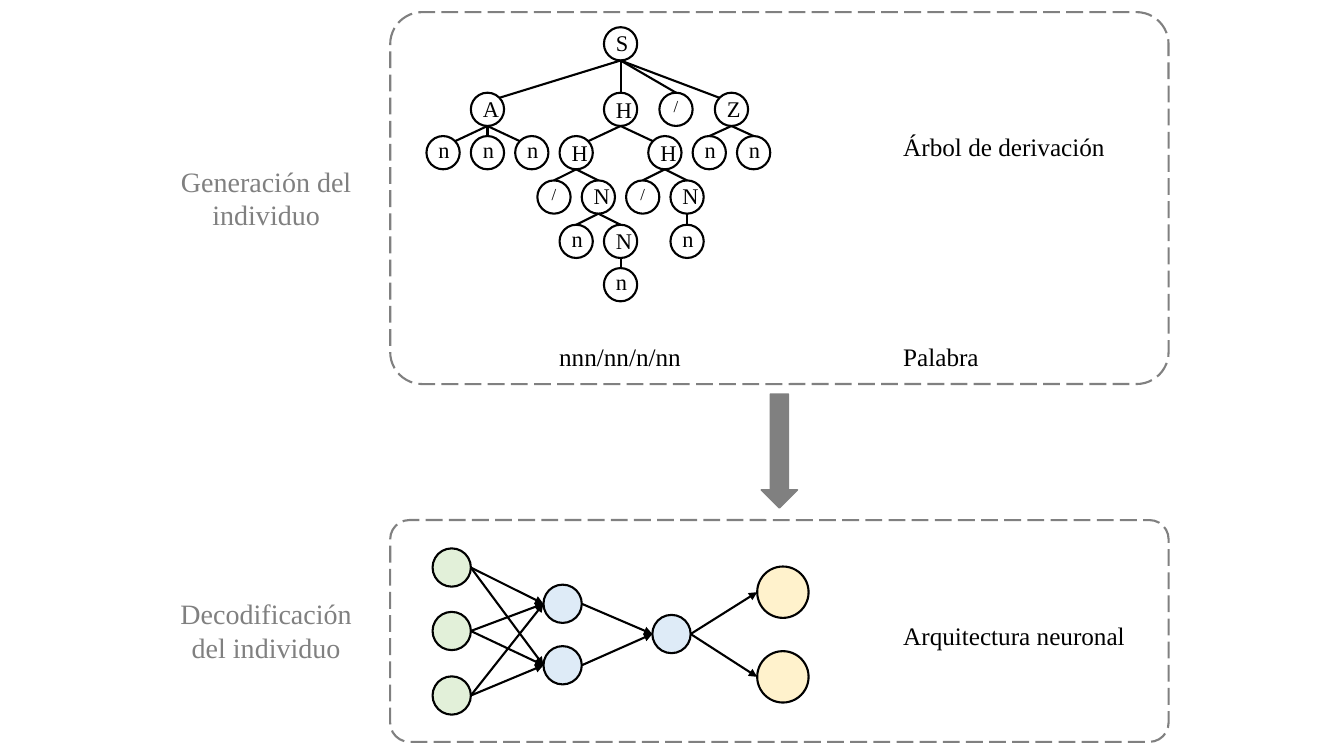
from dataclasses import dataclass
from itertools import pairwise, product

from lxml.etree import SubElement
from pptx import Presentation
from pptx.dml.color import RGBColor
from pptx.enum.dml import MSO_LINE_DASH_STYLE as Dash
from pptx.enum.shapes import MSO_CONNECTOR, MSO_SHAPE as Shape
from pptx.enum.text import MSO_AUTO_SIZE, PP_ALIGN as Align
from pptx.oxml.ns import qn
from pptx.util import Emu, Pt

PX = 9144  # EMU in one px, 100 px to the inch
FONT = "Times New Roman"
BLACK, GRAY, WHITE = "000000", "808080", "FFFFFF"
GREEN, BLUE, YELLOW = "E2F0D9", "DEEBF7", "FFF2CC"

NODE = 33
FIRST_COL, COL_STEP = 423, 22
ROW_TOPS = (27, 92, 135, 179, 223, 266)
LABEL_RISE = {"n": 5, "/": 2, "H": 2}


@dataclass(frozen=True)
class Node:
    symbol: str
    col: float
    children: tuple["Node", ...] = ()


@dataclass(frozen=True)
class Layer:
    left: int
    tops: tuple[int, ...]
    size: int
    fill: str


@dataclass(frozen=True)
class Panel:
    top: int
    height: int
    title: str
    title_top: int


@dataclass(frozen=True)
class Caption:
    text: str
    top: int
    width: int


TREE = Node("S", 8, (
    Node("A", 2, (Node("n", 0), Node("n", 2), Node("n", 4))),
    Node("H", 8, (
        Node("H", 6, (
            Node("/", 5),
            Node("N", 7, (Node("n", 6), Node("N", 8, (Node("n", 8),)))),
        )),
        Node("H", 10, (Node("/", 9), Node("N", 11, (Node("n", 11),)))),
    )),
    Node("/", 10.5),
    Node("Z", 13, (Node("n", 12), Node("n", 14))),
))

LAYERS = (
    Layer(429, (544, 607, 671), 38, GREEN),
    Layer(539, (580, 641), 38, BLUE),
    Layer(647, (610,), 38, BLUE),
    Layer(751, (562, 646), 51, YELLOW),
)

PANELS = (
    Panel(12, 369, "Generación del individuo", 158),
    Panel(516, 220, "Decodificación del individuo", 587),
)

CAPTIONS = (
    Caption("Árbol de derivación", 125, 239),
    Caption("Palabra", 334, 166),
    Caption("Arquitectura neuronal", 610, 284),
)


def px(*lengths: float) -> list[Emu]:
    return [Emu(round(length * PX)) for length in lengths]


def color(value: str) -> RGBColor:
    return RGBColor.from_string(value)


def add_text(s, text: str, left: float, top: float, width: float, height: float, *,
             size: int = 18, fill: str = BLACK, align: Align = Align.LEFT) -> None:
    tf = s.shapes.add_textbox(*px(left, top, width, height)).text_frame
    tf.word_wrap = True
    tf.auto_size = MSO_AUTO_SIZE.SHAPE_TO_FIT_TEXT
    p = tf.paragraphs[0]
    p.alignment = align
    r = p.add_run()
    r.text = text
    r.font.name, r.font.size = FONT, Pt(size)
    r.font.color.rgb = color(fill)


def add_shape(s, kind: Shape, left: float, top: float, width: float, height: float, *,
              fill: str | None = None, line: str = BLACK, weight: float = 1.5):
    sp = s.shapes.add_shape(kind, *px(left, top, width, height))
    sp.shadow.inherit = False
    if fill:
        sp.fill.solid()
        sp.fill.fore_color.rgb = color(fill)
    else:
        sp.fill.background()
    sp.line.color.rgb = color(line)
    sp.line.width = Pt(weight)
    return sp


def add_line(s, x1: float, y1: float, x2: float, y2: float, *, arrow: bool = False) -> None:
    c = s.shapes.add_connector(MSO_CONNECTOR.STRAIGHT, *px(x1, y1, x2, y2))
    c.line.color.rgb = color(BLACK)
    c.line.width = Pt(1.5)
    if arrow:
        SubElement(c.line._get_or_add_ln(), qn("a:tailEnd"), type="triangle")
    SubElement(c._element.spPr, qn("a:effectLst"))


def draw_panel(s, panel: Panel) -> None:
    sp = add_shape(s, Shape.ROUNDED_RECTANGLE, 387, panel.top, 772, panel.height, line=GRAY)
    sp.adjustments[0] = 0.086
    sp.line.dash_style = Dash.LONG_DASH
    add_text(s, panel.title, 163, panel.title_top, 202, 77,
             size=20, fill=GRAY, align=Align.CENTER)


def draw_edge(s, parent: Node, child: Node, row: int) -> None:
    """Join the parent's bottom to the child's top, or to its shoulder if the edge is flat."""
    x1, x2 = (FIRST_COL + n.col * COL_STEP + NODE / 2 for n in (parent, child))
    y1, y2 = ROW_TOPS[row] + NODE, ROW_TOPS[row + 1]
    if abs(x2 - x1) > 3 * (y2 - y1):
        x2 += 12 if x1 > x2 else -12
        y2 += 5
    add_line(s, x1, y1, x2, y2)


def draw_tree(s, node: Node, row: int = 0) -> None:
    left, top = FIRST_COL + node.col * COL_STEP, ROW_TOPS[row]
    add_shape(s, Shape.OVAL, left, top, NODE, NODE, fill=WHITE)
    size, height = (12, 30) if node.symbol == "/" else (16, 37)
    add_text(s, node.symbol, left + 2, top - LABEL_RISE.get(node.symbol, 3), 29, height,
             size=size, align=Align.CENTER)
    for child in node.children:
        draw_edge(s, node, child, row)
        draw_tree(s, child, row + 1)


def draw_network(s) -> None:
    for layer in LAYERS:
        for top in layer.tops:
            add_shape(s, Shape.OVAL, layer.left, top, layer.size, layer.size, fill=layer.fill)
    for a, b in pairwise(LAYERS):
        for start, end in product(a.tops, b.tops):
            add_line(s, a.left + a.size, start + a.size / 2, b.left, end + b.size / 2,
                     arrow=True)


def main() -> None:
    prs = Presentation()
    prs.slide_width, prs.slide_height = px(1333, 750)
    s = prs.slides.add_slide(prs.slide_layouts[6])
    for panel in PANELS:
        draw_panel(s, panel)
    for caption in CAPTIONS:
        add_text(s, caption.text, 886, caption.top, caption.width, 40)
    draw_tree(s, TREE)
    add_text(s, "nnn/nn/n/nn", 500, 334, 230, 40, align=Align.CENTER)
    add_shape(s, Shape.DOWN_ARROW, 755, 391, 36, 113, fill=GRAY, line=GRAY, weight=1)
    draw_network(s)
    prs.save("out.pptx")


if __name__ == "__main__":
    main()
